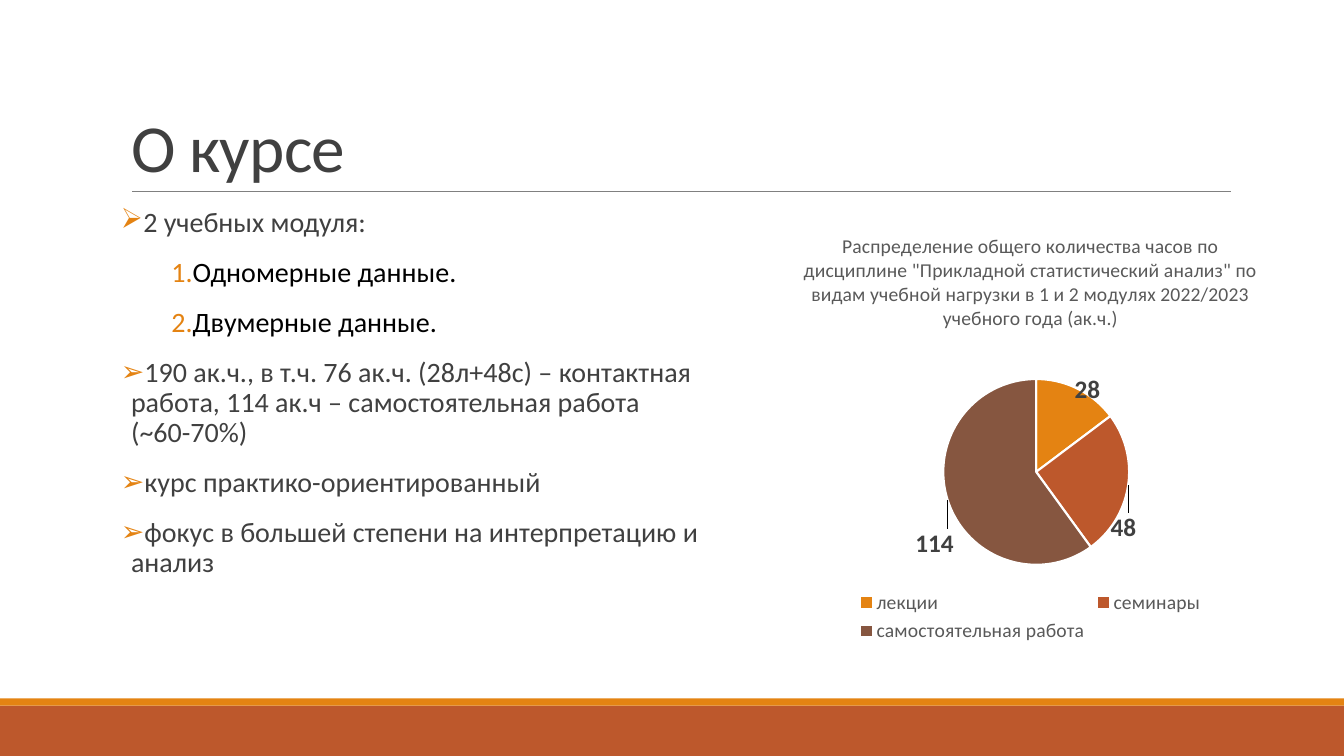
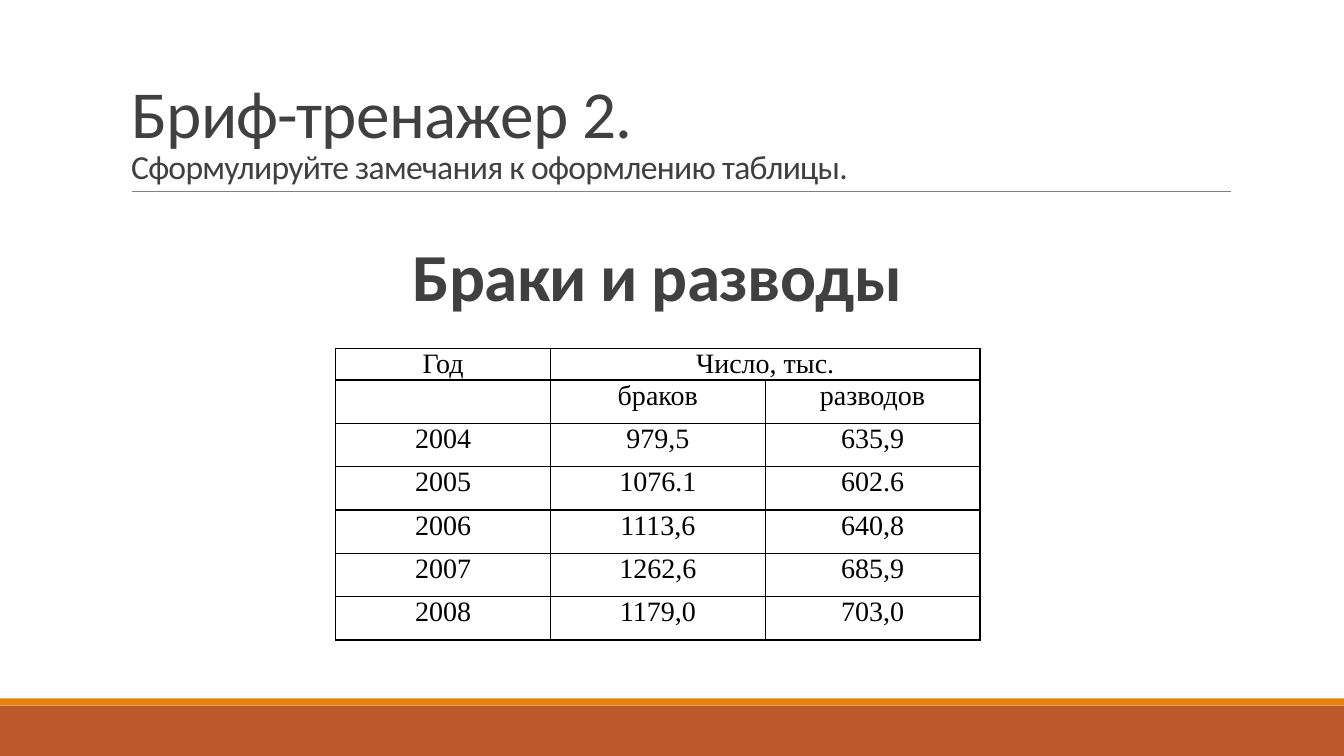
from lxml import etree
from pptx import Presentation
from pptx.chart.data import CategoryChartData
from pptx.dml.color import RGBColor
from pptx.enum.chart import XL_CHART_TYPE as ChartType
from pptx.enum.chart import XL_LABEL_POSITION as LabelPosition
from pptx.enum.chart import XL_LEGEND_POSITION as LegendPosition
from pptx.enum.shapes import MSO_CONNECTOR as Connector
from pptx.enum.shapes import MSO_SHAPE as Shape
from pptx.enum.text import MSO_ANCHOR as Anchor
from pptx.enum.text import MSO_AUTO_SIZE as AutoSize
from pptx.enum.text import PP_ALIGN as Align
from pptx.oxml.ns import qn
from pptx.util import Inches, Pt

ORANGE = RGBColor(0xE4, 0x83, 0x12)
RUST = RGBColor(0xBD, 0x58, 0x2C)
BROWN = RGBColor(0x86, 0x56, 0x40)
DARK = RGBColor(0x40, 0x40, 0x40)
GREY = RGBColor(0x59, 0x59, 0x59)
RULE_GREY = RGBColor(0x80, 0x80, 0x80)
BLACK = RGBColor(0, 0, 0)
WHITE = RGBColor(0xFF, 0xFF, 0xFF)
SANS = "Calibri"
SERIF = "Times New Roman"

COURSE_POINTS = [
    ("2 учебных модуля:", False),
    ("Одномерные данные.", True),
    ("Двумерные данные.", True),
    ("190 ак.ч., в т.ч. 76 ак.ч. (28л+48с) – контактная работа, "
     "114 ак.ч – самостоятельная работа (~60-70%)", False),
    ("курс практико-ориентированный", False),
    ("фокус в большей степени на интерпретацию и анализ", False),
]
CHART_TITLE = (
    'Распределение общего количества часов по дисциплине '
    '"Прикладной статистический анализ" по видам учебной нагрузки '
    'в 1 и 2 модулях 2022/2023 учебного года (ак.ч.)'
)
HOURS = [
    ("лекции", 28, ORANGE, (-0.01, 0.05)),
    ("семинары", 48, RUST, (-0.04, 0.06)),
    ("самостоятельная работа", 114, BROWN, (0.02, 0.06)),
]
MARRIAGES = [
    ("Год", "Число, тыс.", ""),
    ("", "браков", "разводов"),
    ("2004", "979,5", "635,9"),
    ("2005", "1076.1", "602.6"),
    ("2006", "1113,6", "640,8"),
    ("2007", "1262,6", "685,9"),
    ("2008", "1179,0", "703,0"),
]


def style_font(font, size, color, name=SANS, bold=False):
    font.size = Pt(size)
    font.name = name
    font.bold = bold
    font.color.rgb = color


def add_child(parent, tag, **attributes):
    child = etree.SubElement(parent, qn(tag))
    for key, value in attributes.items():
        child.set(key, str(value))
    return child


def add_band(page, top, height, color):
    band = page.shapes.add_shape(
        Shape.RECTANGLE, 0, Inches(top), Inches(13.33), Inches(height))
    band.shadow.inherit = False
    band.fill.solid()
    band.fill.fore_color.rgb = color
    band.line.fill.background()


def add_rule(page):
    rule = page.shapes.add_connector(
        Connector.STRAIGHT, Inches(1.31), Inches(1.9), Inches(12.21), Inches(1.9))
    rule.line.color.rgb = RULE_GREY
    rule.line.width = Pt(0.5)
    add_child(rule._element.spPr, "a:effectLst")


def write_heading(box, lines, align=Align.LEFT, bold=False):
    frame = box.text_frame
    frame.word_wrap = True
    frame.auto_size = AutoSize.NONE
    frame.vertical_anchor = Anchor.BOTTOM
    para = frame.paragraphs[0]
    para.alignment = align
    para.line_spacing = 0.85
    for index, (text, size) in enumerate(lines):
        if index:
            para.add_line_break()
        span = para.add_run()
        span.text = text
        style_font(span.font, size, DARK, bold=bold)
        span.font._element.set("spc", "-50")


def add_page(deck, title_lines):
    page = deck.slides.add_slide(deck.slide_layouts[5])
    page.background.fill.solid()
    page.background.fill.fore_color.rgb = WHITE
    add_band(page, 7, 0.5, RUST)
    add_band(page, 6.93, 0.07, ORANGE)
    add_rule(page)
    title = page.shapes.title
    title.left, title.top = Inches(1.2), Inches(0.31)
    title.width, title.height = Inches(11), Inches(1.59)
    write_heading(title, title_lines)
    return page


def add_bullet(para, numbered):
    properties = para._p.get_or_add_pPr()
    properties.set("marL", str(Inches(0.5 if numbered else 0.1)))
    properties.set("indent", str(Inches(0 if numbered else -0.1)))
    add_child(add_child(properties, "a:buClr"), "a:srgbClr", val=ORANGE)
    if numbered:
        add_child(properties, "a:buFont", typeface=SANS)
        add_child(properties, "a:buAutoNum", type="arabicPeriod")
    else:
        add_child(properties, "a:buChar", char="➢")


def add_points(page, points):
    box = page.shapes.add_textbox(Inches(1.2), Inches(2.02), Inches(5.74), Inches(4.4))
    frame = box.text_frame
    frame.word_wrap = True
    frame.margin_left = frame.margin_right = 0
    for index, (text, numbered) in enumerate(points):
        para = frame.add_paragraph() if index else frame.paragraphs[0]
        para.text = text
        add_bullet(para, numbered)
        para.line_spacing = 0.9
        para.space_before = Pt(12 if index else 0)
        para.space_after = Pt(2)
        style_font(para.runs[0].font, 20, BLACK if numbered else DARK)


def make_layout(**values):
    layout = etree.Element(qn("c:layout"))
    manual = add_child(layout, "c:manualLayout")
    for key, value in values.items():
        add_child(manual, f"c:{key}", val=value)
    return layout


def place_plot(chart):
    area = chart._chartSpace.find(f".//{qn('c:plotArea')}")
    for old in area.findall(qn("c:layout")):
        area.remove(old)
    area.insert(0, make_layout(layoutTarget="inner", xMode="edge", yMode="edge",
                               x=0.35, y=0.38, w=0.32, h=0.43))


def add_hours_pie(page):
    names, values, colors, offsets = zip(*HOURS)
    data = CategoryChartData()
    data.categories = names
    data.add_series("Series 1", values)
    chart = page.shapes.add_chart(
        ChartType.PIE, Inches(7.34), Inches(2.13), Inches(5.76), Inches(4.29), data).chart
    style_font(chart.font, 10, BLACK)
    chart.has_title = True
    chart.chart_title.text_frame.text = CHART_TITLE
    style_font(chart.chart_title.text_frame.paragraphs[0].runs[0].font, 14, GREY)
    chart.has_legend = True
    chart.legend.position = LegendPosition.BOTTOM
    chart.legend.include_in_layout = False
    style_font(chart.legend.font, 14, GREY)
    plot = chart.plots[0]
    plot.vary_by_categories = True
    series = plot.series[0]
    labels = series.data_labels
    labels.show_value = True
    style_font(labels.font, 18, DARK, bold=True)
    for index, color in enumerate(colors):
        point = series.points[index]
        point.format.fill.solid()
        point.format.fill.fore_color.rgb = color
        point.format.line.color.rgb = WHITE
        point.format.line.width = Pt(1.5)
        style_font(point.data_label.font, 18, DARK, bold=True)
        point.data_label.position = LabelPosition.OUTSIDE_END
    for label, (x, y) in zip(chart._chartSpace.iter(qn("c:dLbl")), offsets):
        label.insert(1, make_layout(x=x, y=y))
    place_plot(chart)


def format_cell(cell, text):
    cell.margin_left = cell.margin_right = Inches(0.07)
    cell.margin_top = cell.margin_bottom = 0
    properties = cell._tc.get_or_add_tcPr()
    for side in ("lnL", "lnR", "lnT", "lnB"):
        border = add_child(properties, f"a:{side}", w=Pt(1))
        add_child(add_child(border, "a:solidFill"), "a:srgbClr", val=BLACK)
    cell.fill.background()
    if text:
        cell.text_frame.text = text
        para = cell.text_frame.paragraphs[0]
        para.alignment = Align.CENTER
        style_font(para.runs[0].font, 20, BLACK, SERIF)


def add_marriage_table(page):
    table = page.shapes.add_table(
        len(MARRIAGES), 3, Inches(3.33), Inches(3.46), Inches(6.38), Inches(2.89)).table
    table.first_row = table.horz_banding = False
    for column in table.columns:
        column.width = Inches(2.13)
    for index, (row, texts) in enumerate(zip(table.rows, MARRIAGES)):
        row.height = Inches(0.43 if index else 0.31)
        for cell, text in zip(row.cells, texts):
            format_cell(cell, text)
    table.cell(0, 1).merge(table.cell(0, 2))


def build_course_page(deck):
    page = add_page(deck, [("О курсе", 48)])
    add_points(page, COURSE_POINTS)
    add_hours_pie(page)


def build_exercise_page(deck):
    page = add_page(deck, [
        ("Бриф-тренажер 2.", 48),
        ("Сформулируйте замечания к оформлению таблицы.", 24),
    ])
    caption = page.shapes.add_textbox(Inches(2.02), Inches(2.18), Inches(9), Inches(1))
    write_heading(caption, [("Браки и разводы", 48)], Align.CENTER, bold=True)
    add_marriage_table(page)


def main():
    deck = Presentation()
    deck.slide_width, deck.slide_height = Inches(13.33), Inches(7.5)
    build_course_page(deck)
    build_exercise_page(deck)
    deck.save("out.pptx")


if __name__ == "__main__":
    main()
